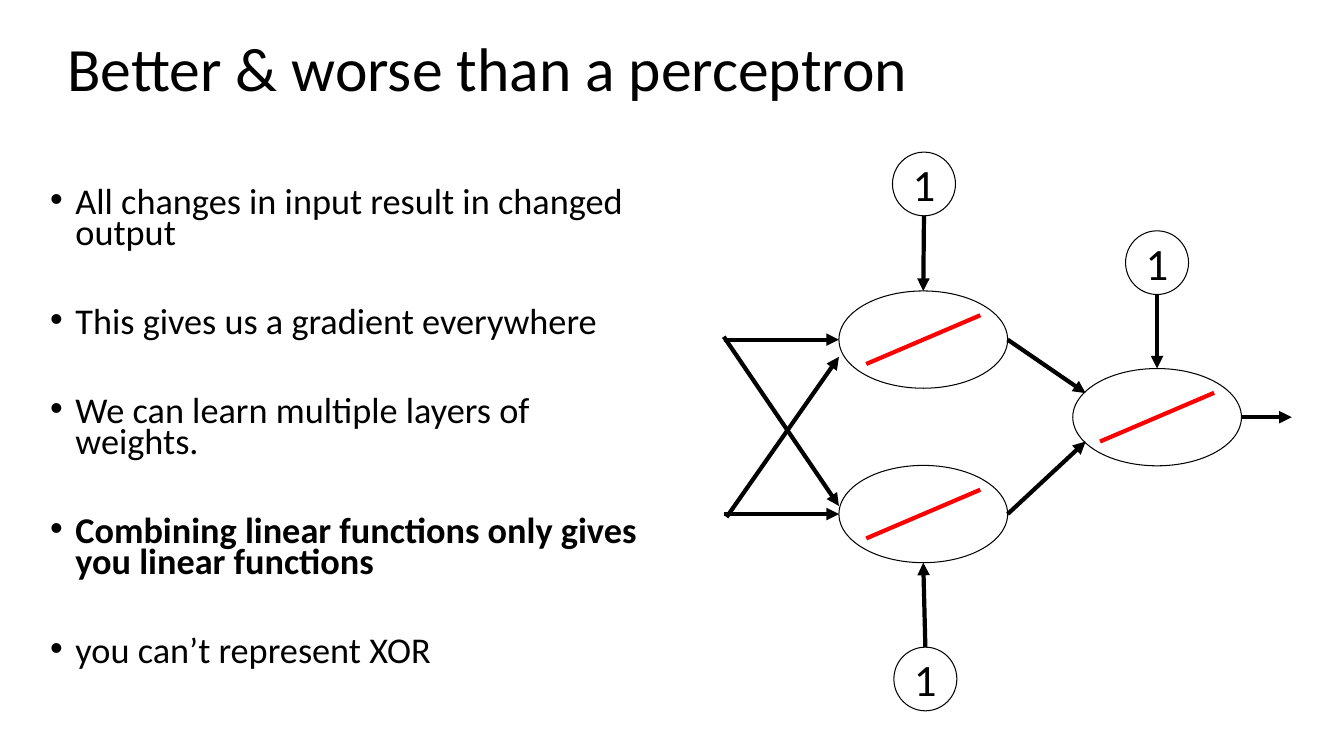
from lxml.etree import SubElement
from pptx import Presentation
from pptx.dml.color import RGBColor
from pptx.enum.shapes import MSO_CONNECTOR as Connector, MSO_SHAPE as Shape
from pptx.enum.text import MSO_ANCHOR as Anchor, PP_ALIGN as Align
from pptx.oxml.ns import qn
from pptx.util import Pt

TITLE = "Better & worse than a perceptron"
POINTS = [
    ("All changes in input result in changed output", False),
    ("This gives us a gradient everywhere", False),
    ("We can learn multiple layers of weights.", False),
    ("Combining linear functions only gives you linear functions", True),
    ("you can’t represent XOR", False),
]
BLACK, WHITE, RED = "000000", "FFFFFF", "FF0000"
NEURON_SIZE = (120.5, 69.5)
BIAS_SIZE = (45, 45.5)
UPPER, LOWER, OUTPUT = (659.5, 242.6), (659.5, 367.2), (826.5, 298)
BIASES = [((660, 131.4), UPPER), ((661, 485), LOWER), ((826.5, 187.6), OUTPUT)]
INPUT_X = 517
SLOPE = (40.75, 17.4)


def color(code):
    return RGBColor.from_string(code)


def format_font(font, **values):
    values = {"name": "Calibri", "bold": False, **values}
    for name, value in values.items():
        setattr(font, name, value)
    font.color.rgb = color(BLACK)


def place(box, left, top, width, height):
    values = {"left": left, "top": top, "width": width, "height": height}
    for name, value in values.items():
        setattr(box, name, Pt(value))


def add_line(page, start, end, code=BLACK, arrow=True):
    line = page.shapes.add_connector(
        Connector.STRAIGHT, *[Pt(value) for value in (*start, *end)])
    line.line.color.rgb = color(code)
    line.line.width = Pt(3)
    if arrow:
        SubElement(line.line._get_or_add_ln(), qn("a:tailEnd"), type="triangle")
    SubElement(line._element.spPr, qn("a:effectLst"))


def add_ellipse(page, center, size, label=None):
    (x, y), (width, height) = center, size
    oval = page.shapes.add_shape(
        Shape.OVAL, Pt(x - width / 2), Pt(y - height / 2), Pt(width), Pt(height))
    oval.shadow.inherit = False
    oval.line.color.rgb = color(BLACK)
    oval.line.width = Pt(0.75)
    if label is None:
        oval.fill.background()
        return
    oval.fill.solid()
    oval.fill.fore_color.rgb = color(WHITE)
    frame = oval.text_frame
    frame.word_wrap = False
    frame.vertical_anchor = Anchor.MIDDLE
    para = frame.paragraphs[0]
    para.alignment = Align.CENTER
    span = para.add_run()
    span.text = label
    format_font(span.font, size=Pt(32))


def add_title(page):
    title = page.shapes.title
    place(title, 41, 12.2, 864, 77.8)
    title.text_frame.text = TITLE
    title.text_frame.vertical_anchor = Anchor.MIDDLE
    para = title.text_frame.paragraphs[0]
    para.alignment = Align.LEFT
    para.line_spacing = 0.9
    format_font(para.runs[0].font, size=Pt(44))


def add_points(page):
    box = page.shapes.add_textbox(Pt(28.8), Pt(132.5), Pt(437), Pt(360))
    frame = box.text_frame
    frame.word_wrap = True
    for index, (text, bold) in enumerate(POINTS):
        para = frame.paragraphs[0] if index == 0 else frame.add_paragraph()
        para.line_spacing = 0.7
        para.space_before = Pt(42 if index else 0)
        props = para._p.get_or_add_pPr()
        props.set("marL", str(Pt(18)))
        props.set("indent", str(Pt(-18)))
        SubElement(props, qn("a:buFont"), typeface="Arial")
        SubElement(props, qn("a:buChar"), char="•")
        span = para.add_run()
        span.text = text
        format_font(span.font, size=Pt(25.9), bold=bold)


def add_network(page):
    half_width, half_height = (value / 2 for value in NEURON_SIZE)
    left = UPPER[0] - half_width
    right = UPPER[0] + half_width
    exit_x = OUTPUT[0] + half_width

    for y in (UPPER[1], LOWER[1]):
        add_line(page, (INPUT_X, y), (left, y))
    add_line(page, (INPUT_X, 240.5), (left, 361.4))
    add_line(page, (INPUT_X + 2, 369.4), (left, 254.9))
    add_line(page, (right, UPPER[1]), (775.5, 280.8))
    add_line(page, (right, LOWER[1]), (775.5, 315.4))
    add_line(page, (exit_x, OUTPUT[1]), (exit_x + 36, OUTPUT[1]))

    for bias, neuron in BIASES:
        side = 1 if bias[1] < neuron[1] else -1
        add_line(page, (bias[0], bias[1] + side * BIAS_SIZE[1] / 2),
                 (neuron[0], neuron[1] - side * half_height))
        add_ellipse(page, neuron, NEURON_SIZE)
        add_ellipse(page, bias, BIAS_SIZE, "1")
        x, y = neuron
        add_line(page, (x - SLOPE[0], y + SLOPE[1]),
                 (x + SLOPE[0], y - SLOPE[1]), RED, arrow=False)


def main():
    deck = Presentation()
    deck.slide_width, deck.slide_height = Pt(960), Pt(540)
    page = deck.slides.add_slide(deck.slide_layouts[5])
    add_title(page)
    add_points(page)
    add_network(page)
    deck.save("out.pptx")


if __name__ == "__main__":
    main()
